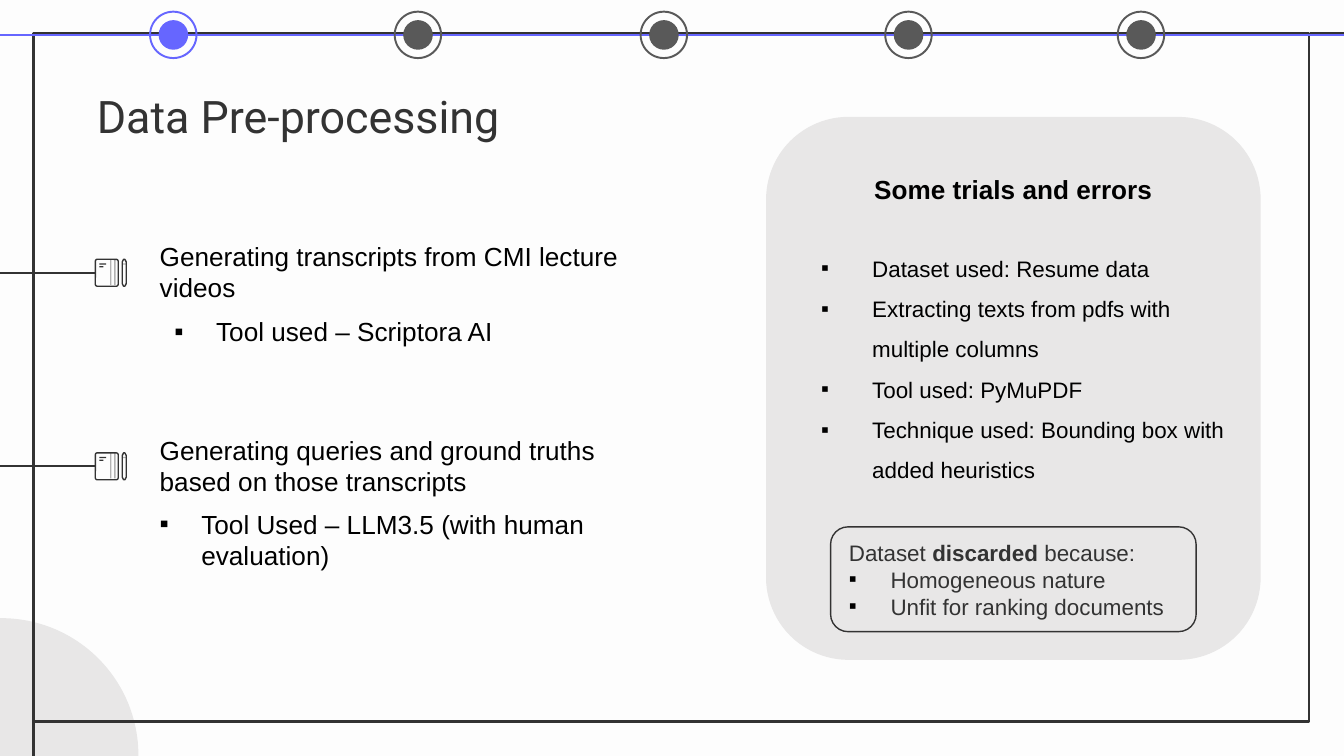
"""Build the data pre-processing slide."""
from dataclasses import dataclass

from lxml.etree import SubElement
from pptx import Presentation
from pptx.dml.color import RGBColor
from pptx.enum.shapes import MSO_CONNECTOR, MSO_SHAPE
from pptx.enum.text import MSO_ANCHOR, PP_ALIGN
from pptx.oxml.ns import qn
from pptx.shapes.autoshape import Shape
from pptx.shapes.connector import Connector
from pptx.slide import Slide
from pptx.text.text import TextFrame
from pptx.util import Inches, Pt

PAPER = RGBColor(0xFD, 0xFD, 0xFD)
PANEL = RGBColor(0xE8, 0xE7, 0xE7)
INK = RGBColor(0x33, 0x33, 0x33)
BLACK = RGBColor(0, 0, 0)
ACTIVE = RGBColor(0x66, 0x66, 0xFF)
PENDING = RGBColor(0x59, 0x59, 0x59)
CREASE = RGBColor(0xB2, 0xB2, 0xB2)

WIDTH = 10
HEIGHT = WIDTH * 9 / 16
TIMELINE_Y = 0.26
MILESTONES = (1.29, 3.11, 4.94, 6.76, 8.49)
NOTEBOOK_TOPS = (1.93, 3.37)


@dataclass(frozen=True)
class Box:
    left: float
    top: float
    width: float
    height: float


@dataclass(frozen=True)
class Line:
    text: str
    indent: float = 0
    bold: str = ""
    space_after: float = 0


@dataclass(frozen=True)
class Style:
    size: float
    color: RGBColor = BLACK
    bold: bool = False
    align: PP_ALIGN = PP_ALIGN.LEFT
    spacing: float = 1
    font: str = "Arial"


def add_block(slide: Slide, preset: MSO_SHAPE, box: Box, fill: RGBColor | None = None,
              line: RGBColor | None = None, weight: float = 1) -> Shape:
    block = slide.shapes.add_shape(preset, Inches(box.left), Inches(box.top),
                                   Inches(box.width), Inches(box.height))
    paint(block, fill, line, weight)
    return block


def paint(block: Shape, fill: RGBColor | None, line: RGBColor | None, weight: float) -> None:
    block.shadow.inherit = False
    if fill is None:
        block.fill.background()
    else:
        block.fill.solid()
        block.fill.fore_color.rgb = fill
    if line is None:
        block.line.fill.background()
    else:
        block.line.color.rgb = line
        block.line.width = Pt(weight)


def add_rule(slide: Slide, start: tuple[float, float], end: tuple[float, float],
             color: RGBColor, weight: float) -> Connector:
    rule = slide.shapes.add_connector(MSO_CONNECTOR.STRAIGHT, *map(Inches, start + end))
    rule.line.color.rgb = color
    rule.line.width = Pt(weight)
    SubElement(rule._element.spPr, qn("a:effectLst"))
    return rule


def write(frame: TextFrame, lines: list[Line], style: Style) -> None:
    frame.word_wrap = True
    for number, line in enumerate(lines):
        paragraph = frame.add_paragraph() if number else frame.paragraphs[0]
        paragraph.alignment = style.align
        paragraph.line_spacing = style.spacing
        paragraph.space_after = Pt(line.space_after)
        if line.indent:
            properties = paragraph._p.get_or_add_pPr()
            properties.set("marL", str(Inches(line.indent)))
            properties.set("indent", str(-Inches(line.indent)))
            tint = SubElement(properties, qn("a:buClr"))
            SubElement(tint, qn("a:srgbClr"), val=str(BLACK))
            SubElement(properties, qn("a:buFont"), typeface="Arial")
            SubElement(properties, qn("a:buChar"), char="▪")
        paragraph.font.name = style.font
        paragraph.font.size = Pt(style.size)
        paragraph.font.bold = style.bold
        paragraph.font.color.rgb = style.color
        if line.bold:
            before, after = line.text.split(line.bold)
            for part in (before, line.bold, after):
                run = paragraph.add_run()
                run.text = part
                run.font.bold = part == line.bold
        else:
            paragraph.add_run().text = line.text


def add_title(slide: Slide, box: Box, text: str) -> None:
    title = slide.shapes.title
    title.left, title.top = Inches(box.left), Inches(box.top)
    title.width, title.height = Inches(box.width), Inches(box.height)
    frame = title.text_frame
    frame.vertical_anchor = MSO_ANCHOR.TOP
    frame.margin_top = frame.margin_bottom = Inches(0.1)
    write(frame, [Line(text)], Style(24, INK, font="Roboto"))


def add_text(slide: Slide, box: Box, lines: list[Line], style: Style) -> None:
    note = slide.shapes.add_textbox(Inches(box.left), Inches(box.top),
                                    Inches(box.width), Inches(box.height))
    write(note.text_frame, lines, style)


def add_card(slide: Slide, box: Box, lines: list[Line], style: Style,
             line: RGBColor | None = None) -> None:
    card = add_block(slide, MSO_SHAPE.ROUNDED_RECTANGLE, box, line=line, weight=0.75)
    card.text_frame.vertical_anchor = MSO_ANCHOR.MIDDLE
    write(card.text_frame, lines, style)


def add_milestone(slide: Slide, center: float, color: RGBColor) -> None:
    for preset, size in ((MSO_SHAPE.OVAL, 0.22), (MSO_SHAPE.DONUT, 0.36)):
        disc = Box(center - size / 2, TIMELINE_Y - size / 2, size, size)
        mark = add_block(slide, preset, disc, fill=color)
        if preset == MSO_SHAPE.DONUT:
            mark.adjustments[0] = 0.04


def add_notebook(slide: Slide, top: float) -> None:
    for left in (0.82, 0.85):
        add_block(slide, MSO_SHAPE.RECTANGLE, Box(left, top, 0.01, 0.19), fill=CREASE)
    for left, drop, width in ((0.74, 0.03, 0.05), (0.74, 0.05, 0.03)):
        add_block(slide, MSO_SHAPE.RECTANGLE, Box(left, top + drop, width, 0.01), fill=INK)
    add_block(slide, MSO_SHAPE.RECTANGLE, Box(0.91, top + 0.03, 0.03, 0.01), fill=CREASE)
    cover = add_block(slide, MSO_SHAPE.ROUNDED_RECTANGLE, Box(0.71, top, 0.17, 0.2),
                      line=INK, weight=0.75)
    cover.adjustments[0] = 0.08
    outline = ((0.91, 0.02), (0.92, 0), (0.93, 0), (0.94, 0.02), (0.94, 0.18),
               (0.93, 0.2), (0.92, 0.2), (0.91, 0.18))
    points = [(Inches(x), Inches(top + y)) for x, y in outline]
    builder = slide.shapes.build_freeform(*points[0])
    builder.add_line_segments(points[1:], close=True)
    paint(builder.convert_to_shape(), None, INK, 0.75)
    middle = top + 0.1
    rule = add_rule(slide, (0, middle), (0.71, middle), INK, 1)
    rule.end_connect(cover, 1)


def main() -> None:
    deck = Presentation()
    deck.slide_width, deck.slide_height = Inches(WIDTH), Inches(HEIGHT)
    slide = deck.slides.add_slide(deck.slide_layouts[5])
    slide.background.fill.solid()
    slide.background.fill.fore_color.rgb = PAPER
    add_title(slide, Box(0.62, 0.56, 8.43, 0.63), "Data Pre-processing")

    add_block(slide, MSO_SHAPE.OVAL, Box(-1.01, 4.6, 2.04, 2.04), fill=PANEL)
    add_block(slide, MSO_SHAPE.RECTANGLE, Box(0.25, 0.25, 9.49, 5.12), line=INK, weight=1.5)
    add_rule(slide, (WIDTH, 0.25), (9.75, 0.25), INK, 1.5)
    add_rule(slide, (0.25, HEIGHT), (0.25, 5.35), INK, 1.5)

    add_rule(slide, (0, TIMELINE_Y), (WIDTH, TIMELINE_Y), ACTIVE, 1)
    for number, center in enumerate(MILESTONES):
        add_milestone(slide, center, PENDING if number else ACTIVE)

    step = Style(14)
    add_text(slide, Box(1.09, 3.18, 3.54, 1.13), [
        Line("Generating queries and ground truths based on those transcripts", space_after=6),
        Line("Tool Used – LLM3.5 (with human evaluation)", 0.31)], step)
    add_text(slide, Box(1.09, 1.74, 3.76, 0.57),
             [Line("Generating transcripts from CMI lecture videos")], step)
    add_text(slide, Box(1.2, 2.3, 2.7, 0.34), [Line("Tool used – Scriptora AI", 0.31)], step)
    for top in NOTEBOOK_TOPS:
        add_notebook(slide, top)

    add_block(slide, MSO_SHAPE.ROUNDED_RECTANGLE, Box(5.7, 0.87, 3.68, 4.04), fill=PANEL)
    trials = ("Dataset used: Resume data", "Extracting texts from pdfs with multiple columns",
              "Tool used: PyMuPDF", "Technique used: Bounding box with added heuristics")
    add_card(slide, Box(5.91, 1.65, 3.47, 2.09), [Line(trial, 0.38) for trial in trials],
             Style(12, spacing=1.5))
    add_card(slide, Box(6.38, 1.22, 2.32, 0.37), [Line("Some trials and errors")],
             Style(14, bold=True, align=PP_ALIGN.CENTER))
    add_card(slide, Box(6.18, 3.92, 2.72, 0.78), [
        Line("Dataset discarded because:", bold="discarded"),
        Line("Homogeneous nature", 0.31),
        Line("Unfit for ranking documents", 0.31)], Style(12, INK), line=INK)
    deck.save("out.pptx")


if __name__ == "__main__":
    main()
